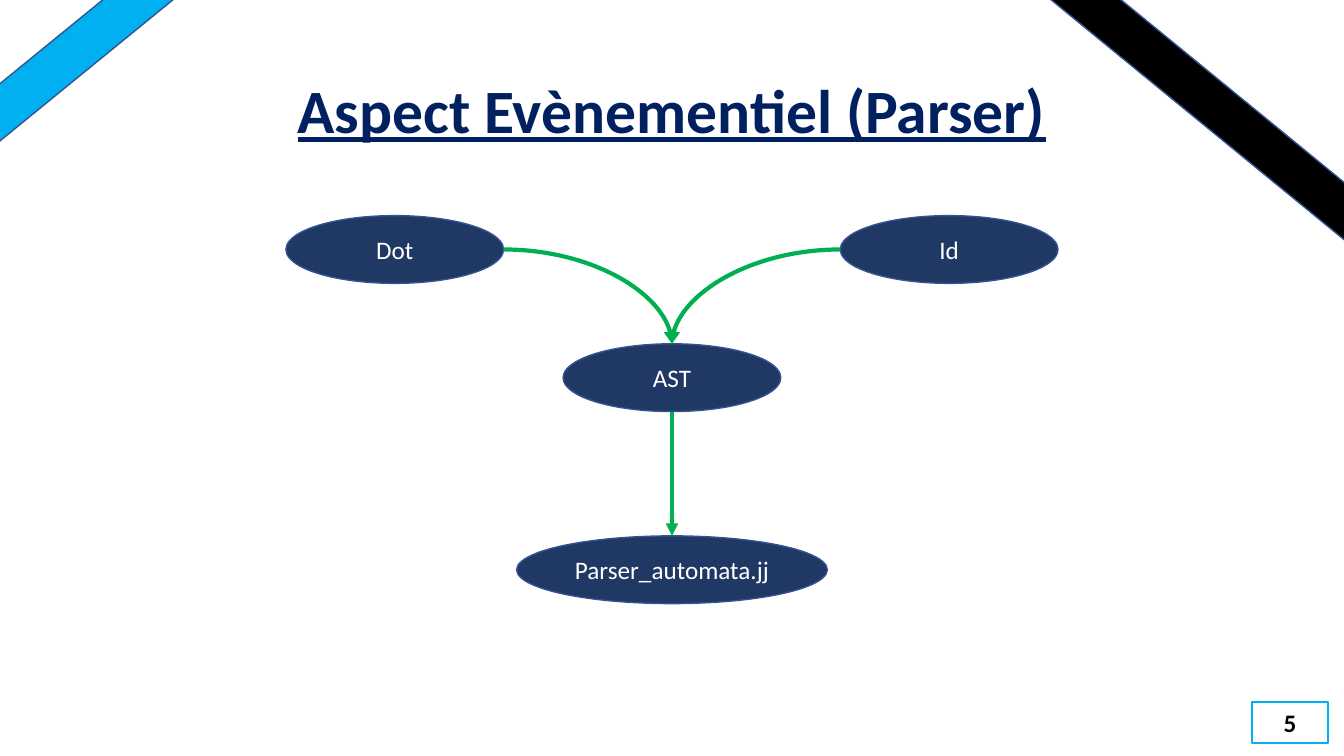
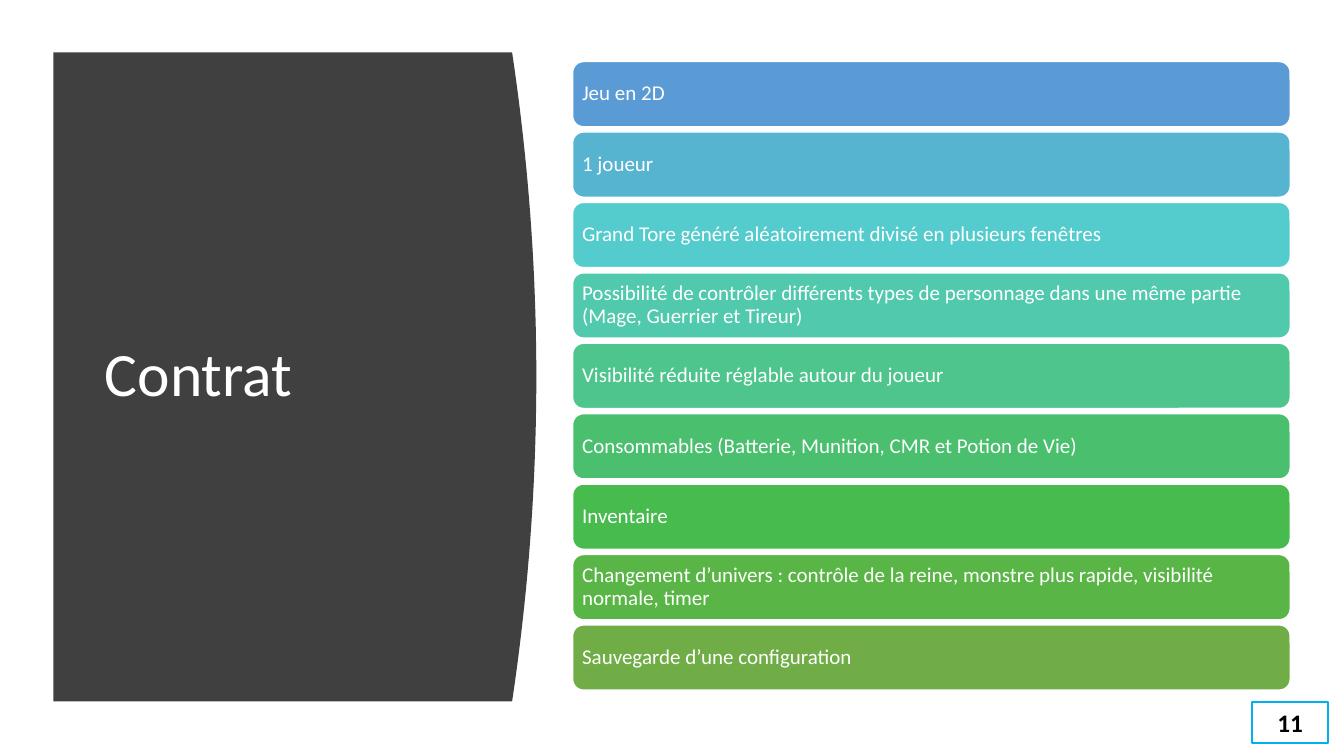
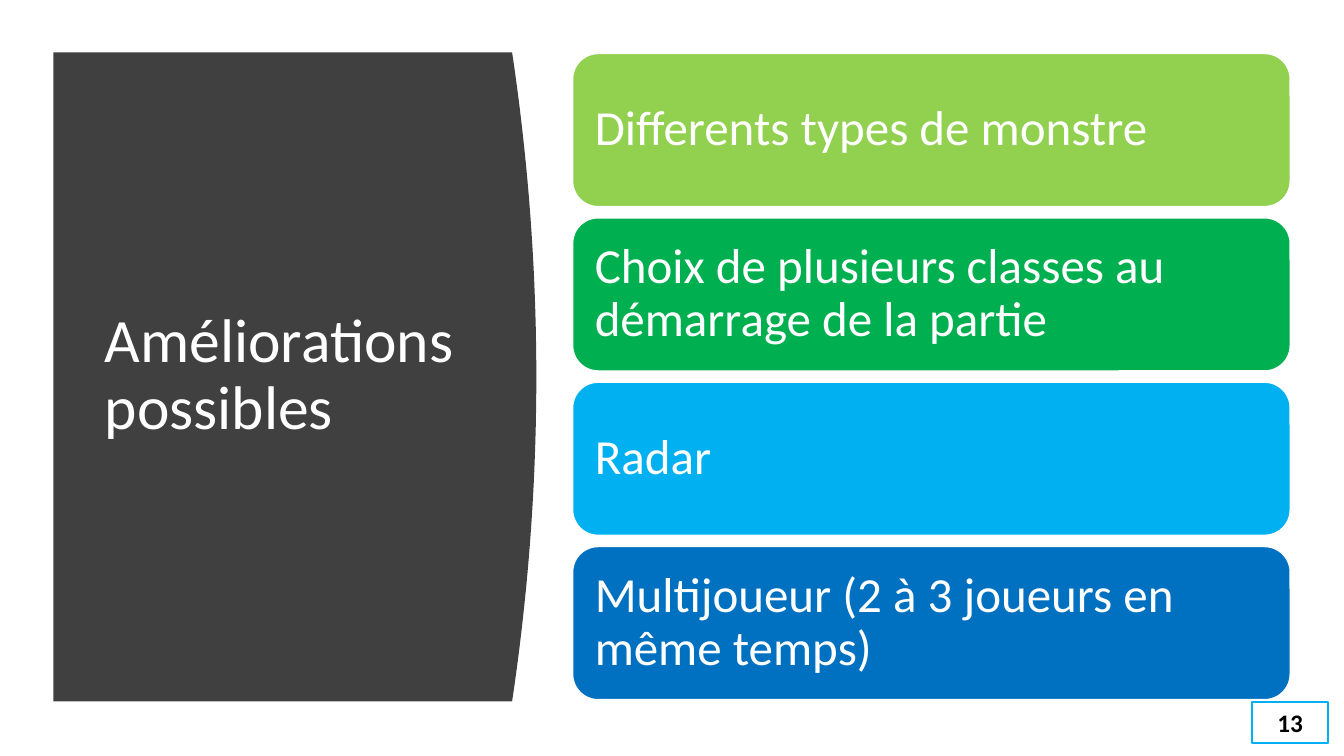
import dataclasses

import lxml.etree
import pptx
import pptx.dml.color
import pptx.enum.shapes
import pptx.enum.text
import pptx.oxml.ns
import pptx.util

Pt = pptx.util.Pt
RGB = pptx.dml.color.RGBColor.from_string
SHAPE = pptx.enum.shapes.MSO_SHAPE
CONNECTOR = pptx.enum.shapes.MSO_CONNECTOR
ALIGN = pptx.enum.text.PP_ALIGN
ANCHOR = pptx.enum.text.MSO_ANCHOR
AUTO_SIZE = pptx.enum.text.MSO_AUTO_SIZE
qn = pptx.oxml.ns.qn


@dataclasses.dataclass(frozen=True)
class Theme:
    font: str = "Calibri"
    title_size: float = 44
    text_size: float = 18
    contract_size: float = 15
    improvement_size: float = 35
    white: str = "FFFFFF"
    black: str = "000000"
    navy: str = "002060"
    node: str = "203864"
    outline: str = "325491"
    green: str = "00B050"
    sky: str = "00B0F0"
    panel: str = "404040"
    contract: tuple = ("5B9BD5", "57B4D1", "54CCCD", "51C9AD", "4DC58D",
                       "4AC06E", "48BB4F", "59B546", "70AD47")
    improvements: tuple = ("92D050", "00B050", "00B0F0", "0070C0")


class Deck:
    def __init__(self, theme):
        self.theme = theme
        self.prs = pptx.Presentation()
        self.prs.slide_width, self.prs.slide_height = Pt(960), Pt(540)
        self.s = None

    def slide(self):
        self.s = self.prs.slides.add_slide(self.prs.slide_layouts[5])

    def set_text(self, sp, text, size, color, align=ALIGN.LEFT, bold=False,
                 anchor=ANCHOR.MIDDLE, spacing=1.0):
        tf = sp.text_frame
        tf.word_wrap = True
        tf.vertical_anchor = anchor
        p = tf.paragraphs[0]
        p.text = text
        p.alignment = align
        p.line_spacing = spacing
        p.font.name = self.theme.font
        p.font.size = Pt(size)
        p.font.bold = bold
        p.font.color.rgb = RGB(color)
        return p

    def title(self, text, box, color, **style):
        sp = self.s.shapes.title
        sp.left, sp.top, sp.width, sp.height = map(Pt, box)
        sp.text_frame.auto_size = AUTO_SIZE.NONE
        return self.set_text(sp, text, self.theme.title_size, color,
                             spacing=0.9, **style)

    def shape(self, kind, box, fill, line):
        sp = self.s.shapes.add_shape(kind, *map(Pt, box))
        sp.shadow.inherit = False
        sp.fill.solid()
        sp.fill.fore_color.rgb = RGB(fill)
        sp.line.color.rgb = RGB(line)
        sp.line.width = Pt(1)
        return sp

    def node(self, text, center, top, width=155.5, height=48.4):
        sp = self.shape(SHAPE.OVAL, (center - width / 2, top, width, height),
                        self.theme.node, self.theme.outline)
        self.set_text(sp, text, self.theme.text_size, self.theme.white,
                      ALIGN.CENTER)
        return sp

    def arrow(self, start, end, curved=False):
        kind = CONNECTOR.CURVE if curved else CONNECTOR.STRAIGHT
        sp = self.s.shapes.add_connector(kind, *start, *end)
        sp.line.color.rgb = RGB(self.theme.green)
        sp.line.width = Pt(3)
        props = sp._element.spPr
        if curved:
            props.find(qn("a:prstGeom")).set("prst", "curvedConnector2")
        lxml.etree.SubElement(props.find(qn("a:ln")), qn("a:tailEnd"),
                              type="triangle")
        lxml.etree.SubElement(props, qn("a:effectLst"))

    def band(self, box, angle, fill):
        self.shape(SHAPE.RECTANGLE, box, fill,
                   self.theme.outline).rotation = angle

    def panel(self, left=38.2, top=37.4, shoulder=365.8, bulge=17.3,
              height=463.7, steps=40):
        edge = []
        for i in range(steps + 1):
            t = 2 * i / steps - 1
            edge.append((Pt(shoulder + bulge * (1 - t * t)),
                         Pt(top + height * i / steps)))
        builder = self.s.shapes.build_freeform(Pt(left), Pt(top))
        builder.add_line_segments(edge + [(Pt(left), Pt(top + height))])
        sp = builder.convert_to_shape()
        sp.shadow.inherit = False
        sp.fill.solid()
        sp.fill.fore_color.rgb = RGB(self.theme.panel)
        sp.line.fill.background()
        self.s.shapes.title._element.addprevious(sp._element)

    def cards(self, texts, fills, top, pitch, height, size, inset):
        for i, (text, fill) in enumerate(zip(texts, fills)):
            sp = self.shape(SHAPE.ROUNDED_RECTANGLE,
                            (409, top + i * pitch, 512.6, height),
                            fill, self.theme.white)
            tf = sp.text_frame
            tf.margin_left = tf.margin_right = Pt(inset)
            tf.margin_top = tf.margin_bottom = Pt(inset)
            self.set_text(sp, text, size, self.theme.white, spacing=0.9)

    def list_slide(self, title, texts, fills, number, **layout):
        self.slide()
        self.panel()
        self.title(title, (67.6, 80, 269.4, 377.4), self.theme.white)
        self.cards(texts, fills, **layout)
        self.number(number)

    def number(self, value):
        sp = self.s.shapes.add_textbox(Pt(894.2), Pt(501.6), Pt(54.7), Pt(29))
        sp.line.color.rgb = RGB(self.theme.sky)
        sp.line.width = Pt(1.5)
        self.set_text(sp, str(value), self.theme.text_size, self.theme.black,
                      ALIGN.CENTER, bold=True, anchor=ANCHOR.TOP)
        sp.text_frame.auto_size = AUTO_SIZE.SHAPE_TO_FIT_TEXT


theme = Theme()
deck = Deck(theme)

deck.slide()
title = deck.title("Aspect Evènementiel (Parser)", (66, 28.8, 828, 104.4),
                   theme.navy, align=ALIGN.CENTER, bold=True)
title.font.underline = True
middle, offset = 480, 198
ast = deck.node("AST", middle, 245.6)
dot = deck.node("Dot", middle - offset, 154)
ident = deck.node("Id", middle + offset, 154)
grammar = deck.node("Parser_automata.jj", middle, 382.8, width=222)
axis = Pt(middle)
source_y = dot.top + dot.height // 2
deck.arrow((dot.left + dot.width, source_y), (axis, ast.top), curved=True)
deck.arrow((ident.left, source_y), (axis, ast.top), curved=True)
deck.arrow((axis, ast.top + ast.height), (axis, grammar.top))
deck.number(5)
deck.band((-158.4, 38.2, 381, 31.7), 320.8, theme.sky)
deck.band((648.7, 36, 381, 31.7), 39.3, theme.black)

deck.list_slide("Contrat", (
    "Jeu en 2D",
    "1 joueur",
    "Grand Tore généré aléatoirement divisé en plusieurs fenêtres",
    "Possibilité de contrôler différents types de personnage dans une même "
    "partie (Mage, Guerrier et Tireur)",
    "Visibilité réduite réglable autour du joueur",
    "Consommables (Batterie, Munition, CMR et Potion de Vie)",
    "Inventaire",
    "Changement d’univers : contrôle de la reine, monstre plus rapide, "
    "visibilité normale, timer",
    "Sauvegarde d’une configuration",
), theme.contract, 11, top=44, pitch=50.3, height=46.6,
    size=theme.contract_size, inset=4.5)

deck.list_slide("Améliorations possibles", (
    "Differents types de monstre",
    "Choix de plusieurs classes au démarrage de la partie",
    "Radar",
    "Multijoueur (2 à 3 joueurs en même temps)",
), theme.improvements, 13, top=38.2, pitch=117.4, height=109.4,
    size=theme.improvement_size, inset=10.5)

deck.prs.save("out.pptx")
